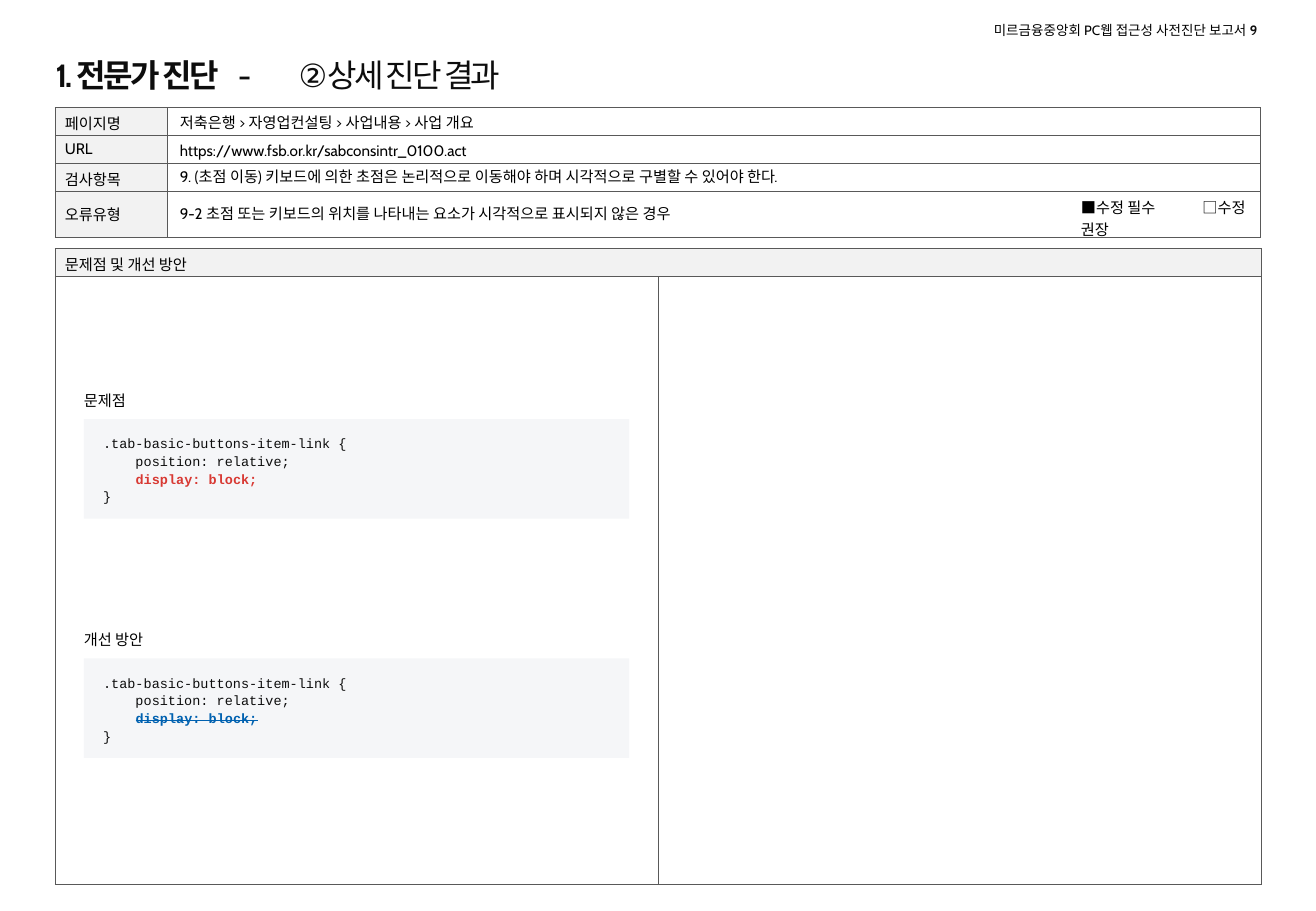
import pptx
import pptx.util
import pptx.dml.color
import pptx.enum.shapes
import pptx.enum.text
import pptx.oxml
import pptx.oxml.ns
import lxml.etree

Pt = pptx.util.Pt
qn = pptx.oxml.ns.qn
ALIGN = pptx.enum.text.PP_ALIGN
ANCHOR = pptx.enum.text.MSO_ANCHOR


def rgb(value):
    return pptx.dml.color.RGBColor.from_string(value)


def write(tf, lines, size=9, font="Cabin", color="000000", bold=False, strike=False,
          spc=0, align=ALIGN.LEFT, spacing=1.0, tabs=()):
    for i, line in enumerate(lines):
        p = tf.paragraphs[0] if i == 0 else tf.add_paragraph()
        pPr = p._p.get_or_add_pPr()
        pPr.set("marL", "0")
        pPr.set("indent", "0")
        lxml.etree.SubElement(pPr, qn("a:buNone"))
        if tabs:
            tabLst = lxml.etree.SubElement(pPr, qn("a:tabLst"))
            for pos in tabs:
                lxml.etree.SubElement(tabLst, qn("a:tab"), pos=str(Pt(pos)), algn="l")
        p.alignment = align
        p.line_spacing = spacing
        p.space_before = p.space_after = Pt(0)
        for text, change in [(line, {})] if isinstance(line, str) else line:
            r = p.add_run()
            r.text = text
            r.font.size = Pt(size)
            r.font.name = font
            r.font.bold = change.get("bold", bold)
            r.font.color.rgb = rgb(change.get("color", color))
            if spc:
                r._r.get_or_add_rPr().set("spc", str(int(spc * 100)))
            if change.get("strike", strike):
                r._r.get_or_add_rPr().set("strike", "sngStrike")


prs = pptx.Presentation()
prs.slide_width, prs.slide_height = Pt(780), Pt(540)
s = prs.slides.add_slide(prs.slide_layouts[4])
title, *values = s.placeholders

title.left, title.top, title.width, title.height = Pt(33), Pt(35.3), Pt(507), Pt(21)
tf = title.text_frame
tf.auto_size = pptx.enum.text.MSO_AUTO_SIZE.NONE
tf.vertical_anchor = ANCHOR.MIDDLE
tf.margin_left = tf.margin_right = tf.margin_top = tf.margin_bottom = 0
write(tf, [[("1. 전문가 진단", {"bold": True}), ("\t-\t②상세 진단 결과", {})]],
      size=19, color="0D0D0D", spc=-1.5, spacing=0.9, tabs=(115, 127.5))

details = [
    ("저축은행 > 자영업컨설팅 > 사업내용 > 사업 개요", 64, 16.6),
    ("https://www.fsb.or.kr/sabconsintr_0100.act", 80.6, 16.6),
    ("9. (초점 이동) 키보드에 의한 초점은 논리적으로 이동해야 하며 시각적으로 구별할 수 있어야 한다.", 96.5, 16.6),
    ("9-2 초점 또는 키보드의 위치를 나타내는 요소가 시각적으로 표시되지 않은 경우", 113, 26.6),
]
for sp, (text, top, height) in zip(values, details):
    sp.left, sp.top, sp.width, sp.height = Pt(99.4), Pt(top), Pt(520 if height > 20 else 647), Pt(height)
    tf = sp.text_frame
    tf.word_wrap = True
    tf.auto_size = pptx.enum.text.MSO_AUTO_SIZE.NONE
    tf.vertical_anchor = ANCHOR.MIDDLE
    tf.margin_left = tf.margin_right = Pt(7.2)
    tf.margin_top = tf.margin_bottom = Pt(3)
    write(tf, [text])

sp = s.shapes.add_textbox(Pt(537), Pt(10), Pt(210), Pt(16))
tf = sp.text_frame
tf.word_wrap = True
tf.vertical_anchor = ANCHOR.MIDDLE
tf.margin_left, tf.margin_right = 0, Pt(1.7)
write(tf, [[("미르금융중앙회 PC웹 접근성 사전진단 보고서 ", {}), ("9", {"bold": True, "color": "0D0D0D"})]],
      size=8, align=ALIGN.RIGHT)

labels = {(0, 0): "페이지명", (1, 0): "URL", (2, 0): "검사항목", (3, 0): "오류유형",
          (3, 2): "■수정 필수\t□수정 권장"}
tables = [
    (63.7, [66.4, 525, 122.8], [16.6, 16.6, 16.6, 27.2], labels, [0, 1, 2], 1),
    (147.3, [357.5, 357.5], [16.6, 360.3], {(0, 0): "문제점 및 개선 방안"}, [0], 0),
]
for top, cols, rows, texts, merged, first in tables:
    frame = s.shapes.add_table(len(rows), len(cols), Pt(32.7), Pt(top), Pt(sum(cols)), Pt(sum(rows)))
    tbl = frame.table
    tbl.first_row = tbl.horz_banding = False
    for col, width in zip(tbl.columns, cols):
        col.width = Pt(width)
    for row, height in zip(tbl.rows, rows):
        row.height = Pt(height)
    for r in range(len(rows)):
        for c in range(len(cols)):
            cell = tbl.cell(r, c)
            cell.margin_left = cell.margin_right = Pt(5.7)
            cell.margin_top = cell.margin_bottom = Pt(2.8)
            cell.vertical_anchor = ANCHOR.MIDDLE
            tcPr = cell._tc.get_or_add_tcPr()
            for side in "LRTB":
                ln = lxml.etree.SubElement(tcPr, qn("a:ln" + side), w=str(Pt(0.25)))
                if (len(cols), r, c, side) in [(3, 3, 1, "R"), (3, 3, 2, "L")]:
                    lxml.etree.SubElement(ln, qn("a:noFill"))
                else:
                    fill = lxml.etree.SubElement(ln, qn("a:solidFill"))
                    lxml.etree.SubElement(fill, qn("a:srgbClr"), val="595959")
            if (r, c) in texts and c == 0:
                cell.fill.solid()
                cell.fill.fore_color.rgb = rgb("F2F2F2")
            else:
                cell.fill.background()
            if (r, c) in texts:
                if c == 2:
                    cell.margin_left, cell.margin_right = Pt(16.6), 0
                write(cell.text_frame, [texts[r, c]], tabs=(57.5,) if c == 2 else ())
            else:
                p = cell.text_frame.paragraphs[0]
                lxml.etree.SubElement(p._p, qn("a:endParaRPr"), sz="900")
    for r in merged:
        tbl.cell(r, first).merge(tbl.cell(r, len(cols) - 1))

for heading, top, mark in [
    ("문제점", 231.8, {"color": "D83933", "bold": True}),
    ("개선 방안", 373.7, {"color": "0061B0", "bold": True, "strike": True}),
]:
    sp = s.shapes.add_textbox(Pt(49.7), Pt(top), Pt(199), Pt(16.6))
    tf = sp.text_frame
    tf.word_wrap = True
    tf.margin_left = tf.margin_right = tf.margin_top = 0
    tf.margin_bottom = Pt(5.7)
    write(tf, [heading])

    sp = s.shapes.add_shape(pptx.enum.shapes.MSO_SHAPE.RECTANGLE, Pt(49.7), Pt(top + 16.6), Pt(323.3), Pt(59))
    sp.shadow.inherit = False
    sp.fill.solid()
    sp.fill.fore_color.rgb = rgb("F5F6F8")
    sp.line.fill.background()
    tf = sp.text_frame
    tf.word_wrap = True
    tf.vertical_anchor = ANCHOR.TOP
    tf.margin_left = tf.margin_right = Pt(11.4)
    tf.margin_top = tf.margin_bottom = Pt(8.6)
    write(tf, [".tab-basic-buttons-item-link {", "    position: relative;",
               [("    ", {}), ("display: block;", mark)], "}"],
          size=8, font="Courier New", color="0D0D0D", spacing=1.1)

prs.save("out.pptx")
